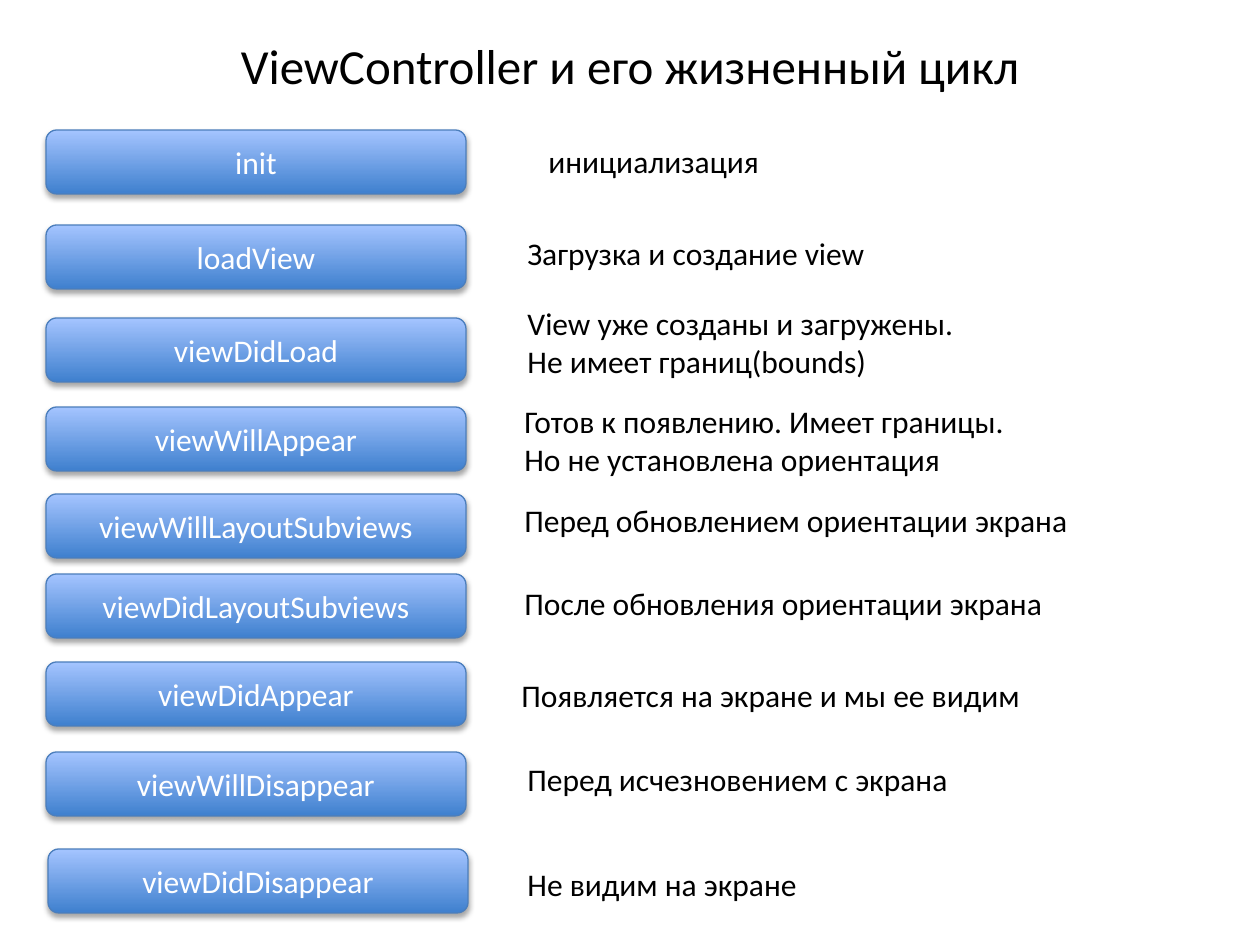
from lxml import etree
from pptx import Presentation
from pptx import util as u
from pptx.dml.color import RGBColor
from pptx.enum import shapes, text
from pptx.oxml.ns import qn

EMU_PER_PX = 914400 / 126
COLORS = {"bottom": "3F80CE", "top": "A4C4FF", "line": "4B7EBC",
          "label": "FFFFFF", "text": "000000", "shadow": "000000"}
BOX_WIDTH, BOX_HEIGHT = 420, 64
LINE_HEIGHT, TEXT_PADDING = 38, 12

# Method, box left and top, description, description left, top and width
STAGES = [
    ("init", 46, 130, "инициализация", 536, 136, 238),
    ("loadView", 46, 225, "Загрузка и создание view", 515, 228, 367),
    ("viewDidLoad", 46, 318,
     "View уже созданы и загружены.\nНе имеет границ(bounds)", 515, 298, 457),
    ("viewWillAppear", 46, 407,
     "Готов к появлению. Имеет границы.\nНо не установлена ориентация", 512, 396, 514),
    ("viewWillLayoutSubviews", 46, 494, "Перед обновлением ориентации экрана", 512, 495, 575),
    ("viewDidLayoutSubviews", 46, 574, "После обновления ориентации экрана", 512, 578, 549),
    ("viewDidAppear", 46, 662, "Появляется на экране и мы ее видим", 509, 670, 529),
    ("viewWillDisappear", 46, 752, "Перед исчезновением с экрана", 515, 754, 451),
    ("viewDidDisappear", 48, 849, "Не видим на экране", 515, 859, 297),
]


def px(*lengths):
    return [u.Emu(round(length * EMU_PER_PX)) for length in lengths]


def write(shape, content, size, color, alignment):
    frame = shape.text_frame
    frame.text = content
    for paragraph in frame.paragraphs:
        paragraph.alignment = alignment
        for run in paragraph.runs:
            run.font.name = "Calibri"
            run.font.size = u.Pt(size)
            run.font.color.rgb = RGBColor.from_string(COLORS[color])


presentation = Presentation()
presentation.slide_width, presentation.slide_height = px(1260, 945)
slide = presentation.slides.add_slide(presentation.slide_layouts[5])

# Title
title = slide.shapes.title
title.left, title.top, title.width, title.height = px(223, 29, 814, 72)
write(title, "ViewController и его жизненный цикл", 28, "text", text.PP_ALIGN.CENTER)
title.text_frame.word_wrap = False
title.text_frame.auto_size = text.MSO_AUTO_SIZE.NONE
title.text_frame.vertical_anchor = text.MSO_ANCHOR.TOP

for method, box_left, box_top, description, left, top, width in STAGES:
    # Method box with gradient
    box = slide.shapes.add_shape(shapes.MSO_SHAPE.ROUNDED_RECTANGLE,
                                 *px(box_left, box_top, BOX_WIDTH, BOX_HEIGHT))
    box.fill.gradient()
    box.fill.gradient_angle = 90
    for stop, name in zip(box.fill.gradient_stops, ("bottom", "top")):
        stop.color.rgb = RGBColor.from_string(COLORS[name])
    box.line.color.rgb = RGBColor.from_string(COLORS["line"])
    box.line.width = u.Pt(0.75)

    # Soft shadow below the box
    box.shadow.inherit = False
    effects = box._element.spPr.find(qn("a:effectLst"))
    shadow = etree.SubElement(effects, qn("a:outerShdw"), blurRad=str(u.Pt(3.1)),
                              dist=str(u.Pt(1.8)), dir="5400000", rotWithShape="0")
    shade = etree.SubElement(shadow, qn("a:srgbClr"), val=COLORS["shadow"])
    etree.SubElement(shade, qn("a:alpha"), val="35000")

    write(box, method, 18, "label", text.PP_ALIGN.CENTER)
    box.text_frame.vertical_anchor = text.MSO_ANCHOR.MIDDLE

    # Description
    line_count = description.count("\n") + 1
    note = slide.shapes.add_textbox(
        *px(left, top, width, LINE_HEIGHT * line_count + TEXT_PADDING))
    write(note, description, 18, "text", text.PP_ALIGN.LEFT)
    note.text_frame.word_wrap = False
    note.text_frame.auto_size = text.MSO_AUTO_SIZE.SHAPE_TO_FIT_TEXT

presentation.save("out.pptx")
